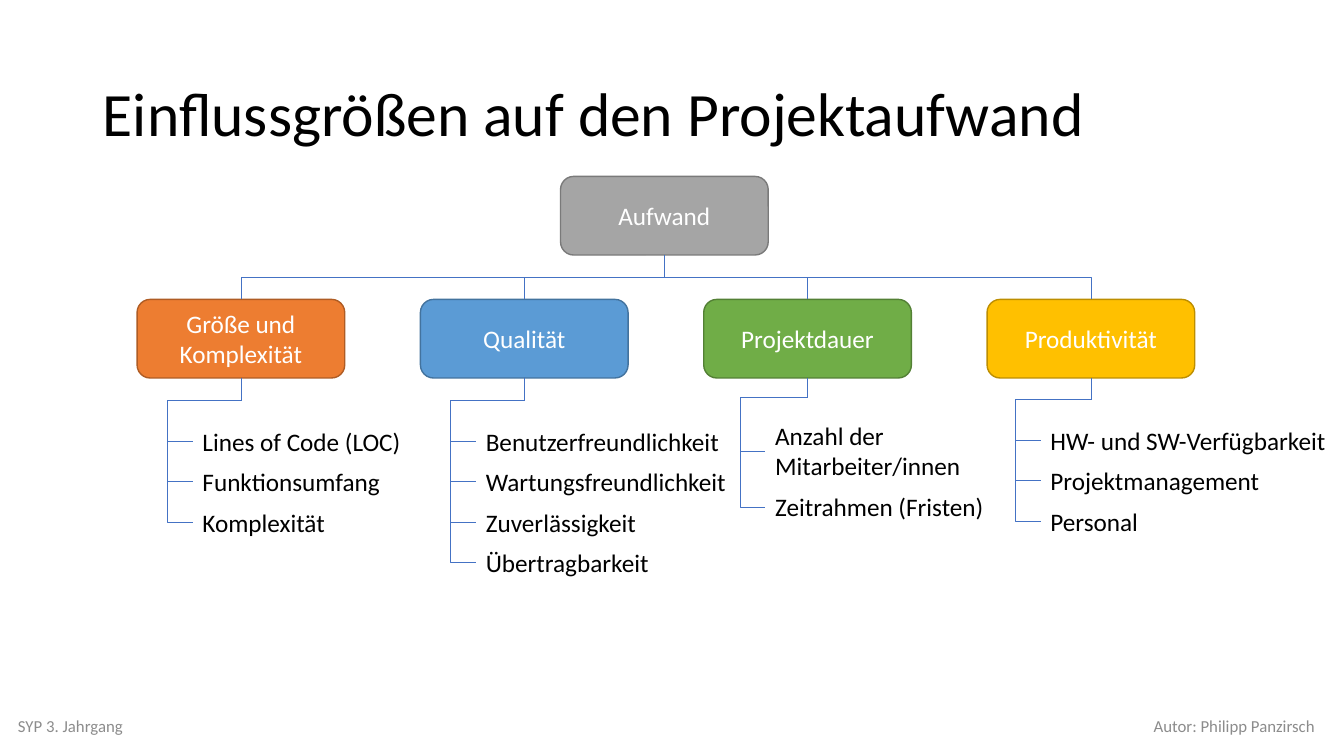
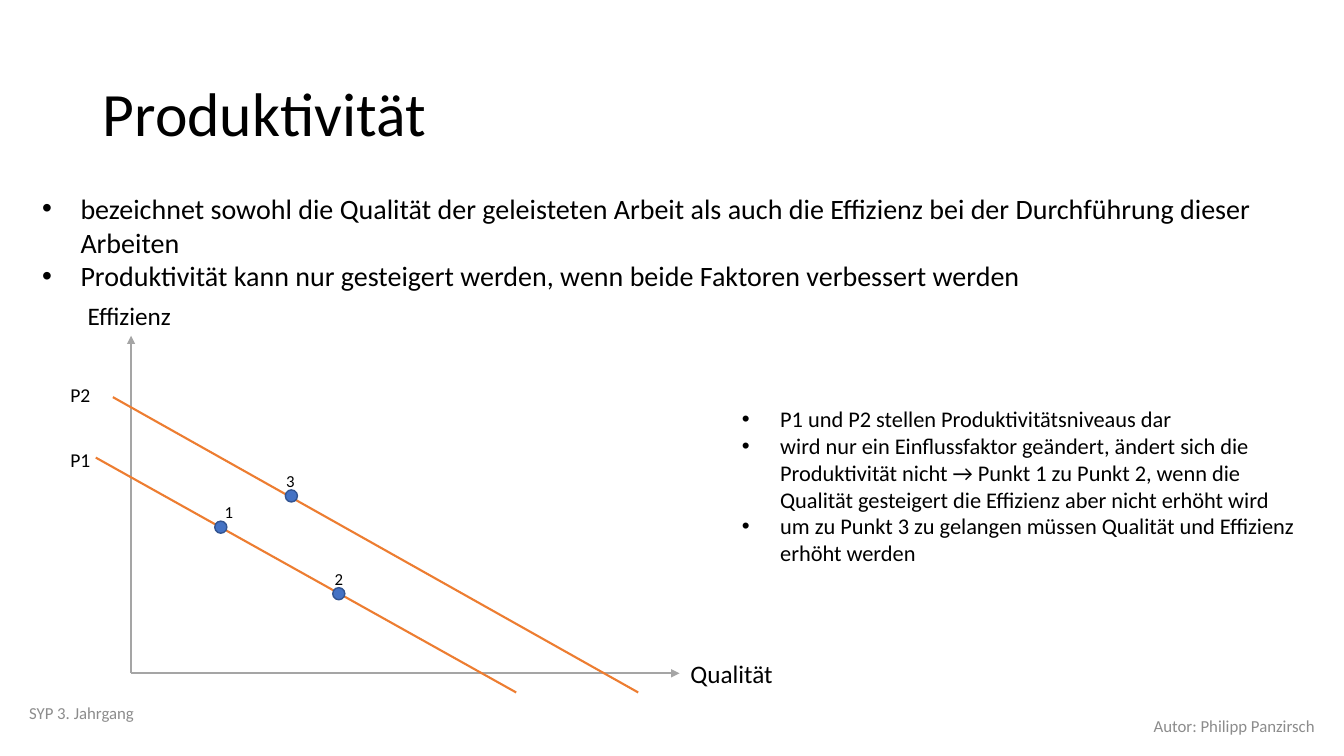
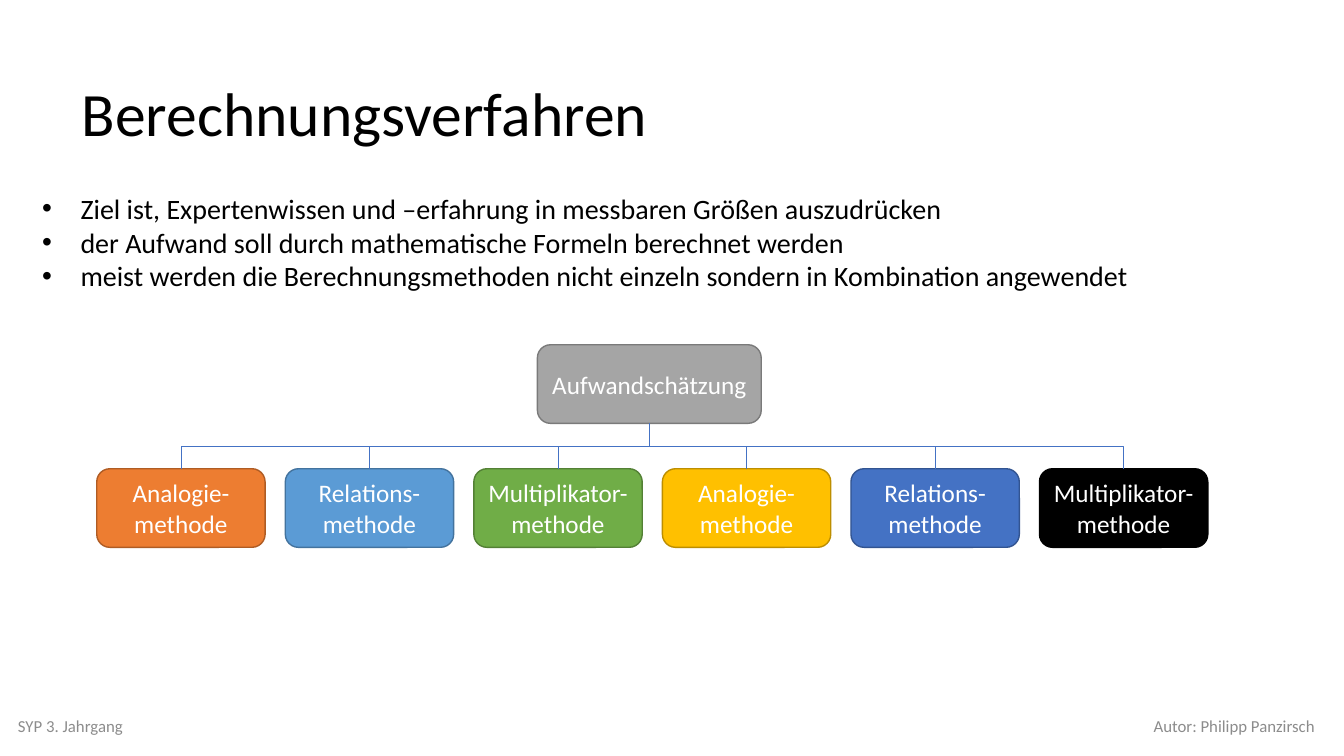
from dataclasses import dataclass

from lxml import etree
from pptx import Presentation
from pptx.dml.color import RGBColor
from pptx.enum import shapes, text
from pptx.oxml import ns
from pptx.util import Inches, Pt


@dataclass(frozen=True)
class Theme:
    font: str = "Calibri"
    ink: str = "000000"
    paper: str = "FFFFFF"
    muted: str = "8C8C8C"
    # fill and outline of the boxes
    grey: tuple = ("A5A5A5", "7A7A7A")
    orange: tuple = ("ED7D31", "AF5C24")
    sky: tuple = ("5B9BD5", "43739E")
    green: tuple = ("70AD47", "538035")
    yellow: tuple = ("FFC000", "BD8E00")
    blue: tuple = ("4472C4", "325491")
    black: tuple = ("000000", "000000")
    # type sizes
    title: int = 44
    lead: int = 20
    body: int = 18
    note: int = 16
    level: int = 14
    small: int = 12
    # line widths
    hairline: float = 0.5
    outline: float = 1
    graph: float = 1.5


T = Theme()
BOX_H = 0.78
ROW_H = 0.4
BULLET_INDENT = 0.38
BRANCH_OUT = 0.25  # how far a branch runs left of its label


# ---- Text ----
def add_run(p, words, size, color=T.ink):
    r = p.add_run()
    r.text = words
    r.font.name, r.font.size = T.font, Pt(size)
    r.font.color.rgb = RGBColor.from_string(color)


def add_label(s, words, x, y, w, h=ROW_H, size=T.body, color=T.ink,
              align=text.PP_ALIGN.LEFT, anchor=text.MSO_ANCHOR.TOP, wrap=False):
    sp = s.shapes.add_textbox(Inches(x), Inches(y), Inches(w), Inches(h))
    tf = sp.text_frame
    tf.word_wrap, tf.vertical_anchor = wrap, anchor
    tf.paragraphs[0].alignment = align
    add_run(tf.paragraphs[0], words, size, color)
    return sp


def add_bullets(s, items, x, y, w, h, size):
    sp = s.shapes.add_textbox(Inches(x), Inches(y), Inches(w), Inches(h))
    tf = sp.text_frame
    tf.word_wrap = True
    for i, item in enumerate(items):
        p = tf.add_paragraph() if i else tf.paragraphs[0]
        pPr = p._p.get_or_add_pPr()
        pPr.set("marL", str(Inches(BULLET_INDENT)))
        pPr.set("indent", str(-Inches(BULLET_INDENT)))
        etree.SubElement(pPr, ns.qn("a:buFont")).set("typeface", "Arial")
        etree.SubElement(pPr, ns.qn("a:buChar")).set("char", "•")
        add_run(p, item, size)


# ---- Shapes ----
def add_filled(s, kind, x, y, w, h, colors):
    sp = s.shapes.add_shape(kind, Inches(x), Inches(y), Inches(w), Inches(h))
    fill, line = colors
    sp.shadow.inherit = False
    sp.fill.solid()
    sp.fill.fore_color.rgb = RGBColor.from_string(fill)
    sp.line.color.rgb = RGBColor.from_string(line)
    sp.line.width = Pt(T.outline)
    return sp


def add_box(s, words, x, y, w, colors):
    sp = add_filled(s, shapes.MSO_SHAPE.ROUNDED_RECTANGLE, x, y, w, BOX_H, colors)
    tf = sp.text_frame
    tf.vertical_anchor = text.MSO_ANCHOR.MIDDLE
    tf.paragraphs[0].alignment = text.PP_ALIGN.CENTER
    add_run(tf.paragraphs[0], words, T.body, T.paper)
    return sp


# ---- Lines ----
def style_line(c, color, width):
    c.line.color.rgb = RGBColor.from_string(color)
    c.line.width = Pt(width)
    etree.SubElement(c._element.spPr, ns.qn("a:effectLst"))


def add_line(s, start, end, color, arrow=False):
    c = s.shapes.add_connector(shapes.MSO_CONNECTOR.STRAIGHT,
                               *(Inches(v) for v in (*start, *end)))
    style_line(c, color, T.graph)
    if arrow:
        ln = c.line._get_or_add_ln()
        etree.SubElement(ln, ns.qn("a:headEnd")).set("type", "triangle")


def add_elbow(s, upper, lower, site, drop=None):
    """Leave upper at its bottom; reach lower at its top (site 0) or left (site 1)."""
    x1, y1 = upper.left + upper.width // 2, upper.top + upper.height
    if site == 0:
        x2, y2 = lower.left + lower.width // 2, lower.top
    else:
        x2, y2 = lower.left, lower.top + lower.height // 2
    c = s.shapes.add_connector(shapes.MSO_CONNECTOR.ELBOW, x1, y1, x2, y2)
    c.begin_connect(upper, 2)
    c.end_connect(lower, site)

    # A downward elbow is a horizontal one turned about its centre
    along, across = y2 - y1, abs(x2 - x1)
    c.left, c.top = (x1 + x2 - along) // 2, (y1 + y2 - across) // 2
    c.width, c.height = along, across
    xfrm = c._element.spPr.find(ns.qn("a:xfrm"))
    for flip in ("flipH", "flipV"):
        xfrm.attrib.pop(flip, None)
    xfrm.set("rot", str((90 if x2 < x1 else 270) * 60000))
    if x2 >= x1:
        xfrm.set("flipH", "1")

    if site == 1:
        geom = c._element.spPr.find(ns.qn("a:prstGeom"))
        geom.set("prst", "bentConnector4")
        guides = geom.find(ns.qn("a:avLst"))
        ratios = (Inches(drop) / along, 1 + Inches(BRANCH_OUT) / across)
        for n, ratio in enumerate(ratios, 1):
            gd = etree.SubElement(guides, ns.qn("a:gd"))
            gd.set("name", f"adj{n}")
            gd.set("fmla", f"val {round(ratio * 100000)}")
    style_line(c, T.blue[0], T.hairline)


def add_tree(s, root, children, x, y, w, pitch):
    boxes = []
    for i, (words, colors) in enumerate(children):
        box = add_box(s, words, x + i * pitch, y, w, colors)
        add_elbow(s, root, box, 0)
        boxes.append(box)
    return boxes


def add_branches(s, box, x, y, labels, drop):
    for words, w, h in labels:
        label = add_label(s, words, x, y, w, h, wrap=h > ROW_H)
        add_elbow(s, box, label, 1, drop)
        y += h


# ---- Slide frame ----
def new_slide(prs, title, title_x=0.92, title_w=11.5, course_at=(0.08, 7)):
    s = prs.slides.add_slide(prs.slide_layouts[5])
    sp = s.shapes.title
    sp.left, sp.top = Inches(title_x), Inches(0.43)
    sp.width, sp.height = Inches(title_w), Inches(1.45)
    tf = sp.text_frame
    tf.vertical_anchor = text.MSO_ANCHOR.MIDDLE
    p = tf.paragraphs[0]
    p.alignment, p.line_spacing = text.PP_ALIGN.LEFT, 0.9
    add_run(p, title, T.title)

    footers = (("SYP 3. Jahrgang", course_at, text.PP_ALIGN.LEFT),
               ("Autor: Philipp Panzirsch", (8.64, 7), text.PP_ALIGN.RIGHT))
    for words, (x, y), align in footers:
        add_label(s, words, x, y, 4.5, 0.4, T.small, T.muted, align,
                  text.MSO_ANCHOR.MIDDLE, wrap=True)
    return s


# ---- Slides ----
def build_factors(prs):
    s = new_slide(prs, "Einflussgrößen auf den Projektaufwand")
    root = add_box(s, "Aufwand", 5.56, 1.75, 2.06, T.grey)
    factors = (("Größe und Komplexität", T.orange), ("Qualität", T.sky),
               ("Projektdauer", T.green), ("Produktivität", T.yellow))
    boxes = add_tree(s, root, factors, 1.36, 2.97, 2.06, 2.81)

    # left, top, drop below the box, labels with width and height
    branches = (
        (1.91, 4.18, 0.22, (("Lines of Code (LOC)", 2.19, ROW_H),
                            ("Funktionsumfang", 1.98, ROW_H),
                            ("Komplexität", 1.43, ROW_H))),
        (4.72, 4.18, 0.22, (("Benutzerfreundlichkeit", 2.54, ROW_H),
                            ("Wartungsfreundlichkeit", 2.61, ROW_H),
                            ("Zuverlässigkeit", 1.7, ROW_H),
                            ("Übertragbarkeit", 1.83, ROW_H))),
        (7.59, 4.12, 0.19, (("Anzahl der Mitarbeiter/innen", 2.54, 0.71),
                            ("Zeitrahmen (Fristen)", 2.29, ROW_H))),
        (10.32, 4.17, 0.21, (("HW- und SW-Verfügbarkeit", 2.98, ROW_H),
                             ("Projektmanagement", 2.29, ROW_H),
                             ("Personal", 1.08, ROW_H))),
    )
    for box, (x, y, drop, labels) in zip(boxes, branches):
        add_branches(s, box, x, y, labels, drop)


def build_productivity(prs):
    s = new_slide(prs, "Produktivität", course_at=(0.19, 6.87))
    add_bullets(s, (
        "bezeichnet sowohl die Qualität der geleisteten Arbeit als auch die "
        "Effizienz bei der Durchführung dieser Arbeiten",
        "Produktivität kann nur gesteigert werden, wenn beide Faktoren "
        "verbessert werden",
    ), 0.32, 1.85, 12.69, 1.11, T.lead)

    # Axes
    origin = (1.3, 6.68)
    for tip in ((1.3, 3.33), (6.74, 6.68)):
        add_line(s, tip, origin, T.grey[0], arrow=True)
    add_label(s, "Effizienz", 0.77, 2.93, 1.04)
    add_label(s, "Qualität", 6.75, 6.48, 1.03)

    # Productivity levels
    for name, y, start, end in (("P1", 4.39, (0.95, 4.54), (5.12, 6.87)),
                                ("P2", 3.75, (1.12, 3.94), (6.33, 6.87))):
        add_line(s, start, end, T.orange[0])
        add_label(s, name, 0.6, y, 0.4, 0.34, T.level)

    # Points with their numbers
    for name, x, y, label_x in (("1", 2.13, 5.17, 2.13), ("2", 3.3, 5.83, 3.22),
                                ("3", 2.83, 4.86, 2.74)):
        add_filled(s, shapes.MSO_SHAPE.OVAL, x, y, 0.12, 0.12, T.blue)
        add_label(s, name, label_x, y - 0.24, 0.29, 0.3, T.small)

    add_bullets(s, (
        "P1 und P2 stellen Produktivitätsniveaus dar",
        "wird nur ein Einflussfaktor geändert, ändert sich die Produktivität "
        "nicht → Punkt 1 zu Punkt 2, wenn die Qualität gesteigert die "
        "Effizienz aber nicht erhöht wird",
        "um zu Punkt 3 zu gelangen müssen Qualität und Effizienz erhöht werden",
    ), 7.26, 3.97, 5.79, 1.78, T.note)


def build_methods(prs):
    s = new_slide(prs, "Berechnungsverfahren", title_x=0.71, title_w=12.1)
    add_bullets(s, (
        "Ziel ist, Expertenwissen und –erfahrung in messbaren Größen auszudrücken",
        "der Aufwand soll durch mathematische Formeln berechnet werden",
        "meist werden die Berechnungsmethoden nicht einzeln sondern in "
        "Kombination angewendet",
    ), 0.32, 1.85, 12.69, 1.45, T.lead)
    root = add_box(s, "Aufwandschätzung", 5.33, 3.42, 2.22, T.grey)
    methods = ("Analogie-methode", "Relations-methode", "Multiplikator-methode") * 2
    colors = (T.orange, T.sky, T.green, T.yellow, T.blue, T.black)
    add_tree(s, root, zip(methods, colors), 0.96, 4.65, 1.67, 1.87)


def main():
    prs = Presentation()
    prs.slide_width, prs.slide_height = Inches(13.33), Inches(7.5)
    build_factors(prs)
    build_productivity(prs)
    build_methods(prs)
    prs.save("out.pptx")


if __name__ == "__main__":
    main()
